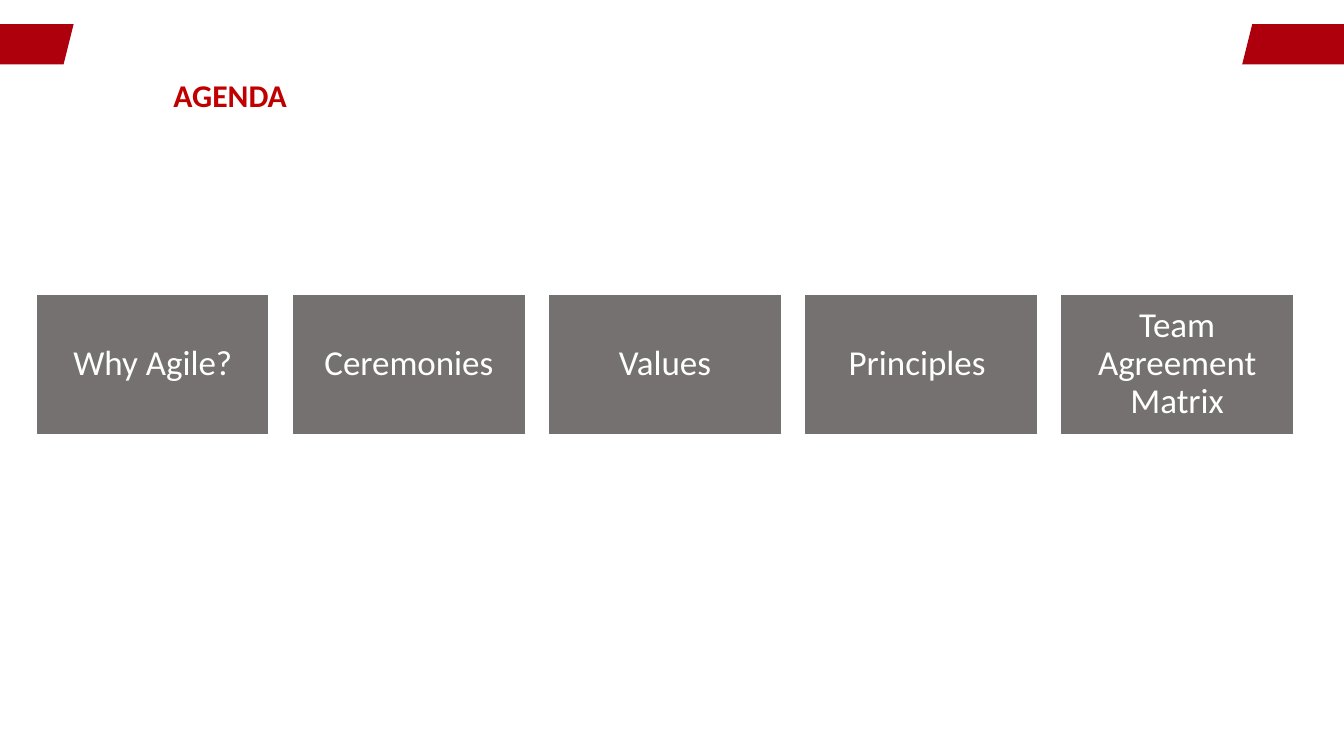
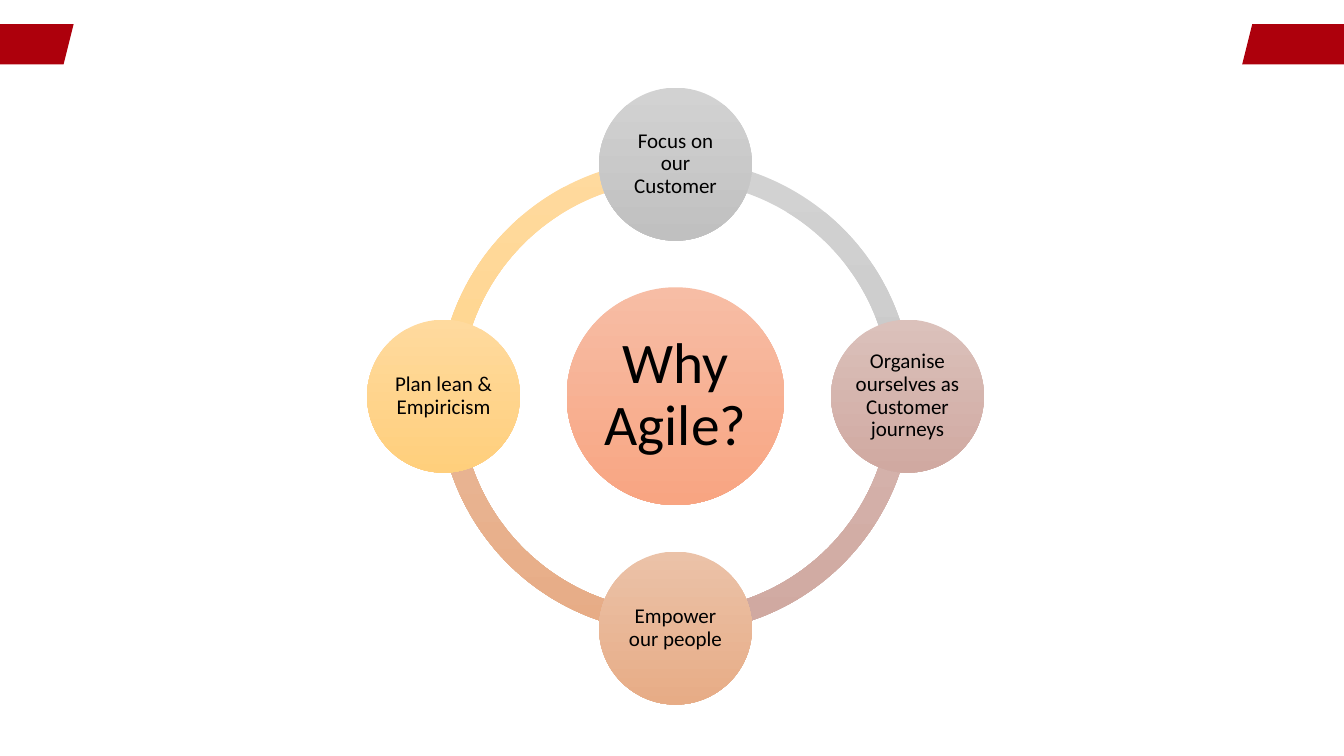
import math

from pptx import Presentation
from pptx.dml.color import RGBColor
from pptx.enum.shapes import MSO_SHAPE
from pptx.enum.text import MSO_ANCHOR, MSO_AUTO_SIZE, PP_ALIGN
from pptx.util import Inches, Pt

RECTANGLE = MSO_SHAPE.RECTANGLE
PARALLELOGRAM = MSO_SHAPE.PARALLELOGRAM
ELLIPSE = MSO_SHAPE.OVAL
ARC = MSO_SHAPE.BLOCK_ARC
LEFT, CENTER = PP_ALIGN.LEFT, PP_ALIGN.CENTER
TOP, MIDDLE = MSO_ANCHOR.TOP, MSO_ANCHOR.MIDDLE
NO_FIT = MSO_AUTO_SIZE.NONE

FONT = "Calibri"
TITLE_ONLY = 5
COLORS = {
    "band": "AD000C",
    "title": "C00000",
    "card": "767171",
    "white": "FFFFFF",
    "black": "000000",
}
GRADIENTS = {
    "hub": ("F7BDA5", "F8A582"),
    "grey": ("D2D2D2", "C0C0C0"),
    "rose": ("DBC1BB", "D0A9A1"),
    "orange": ("EBC2A8", "E7AC86"),
    "yellow": ("FFDA9E", "FFCF7C"),
}
BANDS = [(12.32, 0.24, 1.12, 0.4), (-0.12, 0.24, 0.85, 0.4)]
AGENDA = ["Why Agile?", "Ceremonies", "Values", "Principles ", "Team Agreement Matrix"]
REASONS = [
    ("Focus on our Customer", "grey"),
    ("Organise ourselves as Customer journeys", "rose"),
    ("Empower our people", "orange"),
    ("Plan lean & Empiricism", "yellow"),
]


def write_text(shape, text, size, color, bold=False, align=CENTER, anchor=MIDDLE,
               inset=0.1, inset_y=None, spacing=0.9):
    """Write one formatted paragraph into a shape or placeholder."""
    frame = shape.text_frame
    frame.text = text
    frame.word_wrap = True
    frame.auto_size = NO_FIT
    frame.vertical_anchor = anchor
    frame.margin_left = frame.margin_right = Inches(inset)
    frame.margin_top = frame.margin_bottom = Inches(inset if inset_y is None else inset_y)
    paragraph = frame.paragraphs[0]
    paragraph.alignment = align
    paragraph.line_spacing = spacing
    font = paragraph.font
    font.name, font.size, font.bold = FONT, Pt(size), bold
    font.color.rgb = RGBColor.from_string(COLORS[color])


def place(shape, box):
    """Move and size a shape to a box given in inches."""
    shape.left, shape.top, shape.width, shape.height = map(Inches, box)


def add_preset(slide, kind, box, fill, line=None):
    """Add a preset shape with a solid or gradient fill."""
    shape = slide.shapes.add_shape(kind, *map(Inches, box))
    shape.shadow.inherit = False
    if fill in GRADIENTS:
        shape.fill.gradient()
        shape.fill.gradient_angle = 270
        for stop, color in zip(shape.fill.gradient_stops, GRADIENTS[fill]):
            stop.color.rgb = RGBColor.from_string(color)
    else:
        shape.fill.solid()
        shape.fill.fore_color.rgb = RGBColor.from_string(COLORS[fill])
    if line:
        shape.line.color.rgb = RGBColor.from_string(COLORS[line])
        shape.line.width = Pt(1)
    else:
        shape.line.fill.background()
    return shape


def square(center_x, center_y, side):
    """Return the square box around a centre."""
    return center_x - side / 2, center_y - side / 2, side, side


def add_master_bands(prs, slide):
    """Put the red corner bands on the slide master."""
    for box in BANDS:
        band = add_preset(slide, PARALLELOGRAM, box, "band")
        prs.slide_master.shapes.element.append(band.element)


def add_agenda_row(slide, box, gap=0.23):
    """Lay out the agenda cards evenly across the box."""
    left, top, width, height = box
    card_width = (width - gap * (len(AGENDA) - 1)) / len(AGENDA)
    for index, topic in enumerate(AGENDA):
        card_left = left + index * (card_width + gap)
        card = add_preset(slide, RECTANGLE, (card_left, top, card_width, height),
                          "card", line="white")
        write_text(card, topic, size=25, color="white")


def add_reason_ring(slide, box):
    """Draw the hub, ring and reasons inside a square box."""
    left, top, side, _ = box
    node_side, hub_side, ring_side = side * 0.248, side * 0.353, side * 0.768
    radius = (side - node_side) / 2
    center_x, center_y = left + side / 2, top + side / 2
    step = 360 / len(REASONS)
    for index, (_, gradient) in enumerate(REASONS):
        start = 270 + index * step
        arc = add_preset(slide, ARC, square(center_x, center_y, ring_side), gradient)
        arc.adjustments[0] = start % 360 * 0.6
        arc.adjustments[1] = (start + step) % 360 * 0.6
        arc.adjustments[2] = 0.046
    add_preset(slide, ELLIPSE, square(center_x, center_y, hub_side), "hub")
    for index, (reason, gradient) in enumerate(REASONS):
        angle = math.radians(270 + index * step)
        node_box = square(center_x + radius * math.cos(angle),
                          center_y + radius * math.sin(angle), node_side)
        node = add_preset(slide, ELLIPSE, node_box, gradient)
        write_text(node, reason, size=15, color="black", inset=0.02)
    title = slide.shapes.title
    place(title, square(center_x, center_y, hub_side / math.sqrt(2)))
    write_text(title, "Why Agile?", size=41, color="black", inset=0.06)
    slide.shapes.element.append(title.element)


def build_agenda_slide(slide):
    """Build the agenda slide."""
    title = slide.shapes.title
    place(title, (1.62, 0.7, 2.38, 0.48))
    write_text(title, "AGENDA", size=22.6, color="title", bold=True, align=LEFT,
               anchor=TOP, inset_y=0.05, spacing=1.0)
    add_agenda_row(slide, (0.36, 2.92, 12.47, 1.39))


def main():
    """Build and save the presentation."""
    prs = Presentation()
    prs.slide_width, prs.slide_height = Inches(13.33), Inches(7.5)
    layout = prs.slide_layouts[TITLE_ONLY]
    agenda_slide = prs.slides.add_slide(layout)
    add_master_bands(prs, agenda_slide)
    build_agenda_slide(agenda_slide)
    add_reason_ring(prs.slides.add_slide(layout), (3.64, 0.87, 6.12, 6.12))
    prs.save("out.pptx")


if __name__ == "__main__":
    main()
